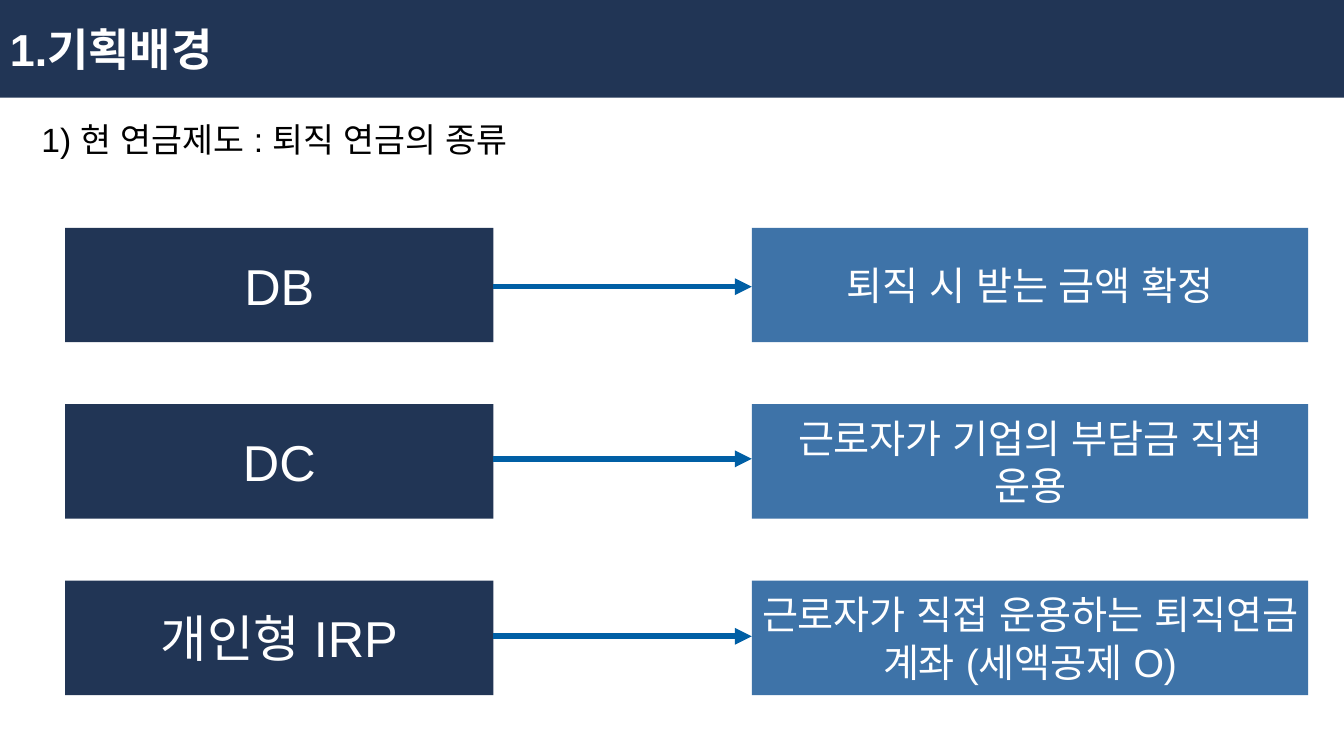
from lxml import etree
from pptx import Presentation
from pptx.dml.color import RGBColor
from pptx.enum.shapes import MSO_CONNECTOR, MSO_SHAPE
from pptx.enum.text import MSO_ANCHOR, PP_ALIGN
from pptx.oxml.ns import qn
from pptx.util import Pt

TITLE = "1.기획배경"
SUBTITLE = "1) 현 연금제도 : 퇴직 연금의 종류"
PENSIONS = [
    ("DB", "퇴직 시 받는 금액 확정", 273),
    ("DC", "근로자가 기업의 부담금 직접 운용", 437),
    ("개인형 IRP", "근로자가 직접 운용하는 퇴직연금 계좌 (세액공제 O)", 606),
]
COLORS = {"navy": "213555", "blue": "3E73A8", "arrow": "005FA5",
          "white": "FFFFFF", "black": "000000"}
FONT = "Arial"
PX = 9525
SLIDE_WIDTH, SLIDE_HEIGHT = 1280, 720
HEADER_HEIGHT = 93
ROW_TOP, ROW_PITCH, BOX_HEIGHT = 217, 168, 109
NAME_LEFT, NAME_WIDTH = 62, 408
DETAIL_LEFT, DETAIL_WIDTH = 716, 530

RECTANGLE = MSO_SHAPE.RECTANGLE
STRAIGHT = MSO_CONNECTOR.STRAIGHT
LEFT, CENTER = PP_ALIGN.LEFT, PP_ALIGN.CENTER
TOP, MIDDLE = MSO_ANCHOR.TOP, MSO_ANCHOR.MIDDLE


def rgb(name):
    return RGBColor.from_string(COLORS[name])


def add_text(slide, text, left, top, width, height, *, size, fill=None,
             color="white", bold=False, align=CENTER, anchor=MIDDLE):
    bounds = [value * PX for value in (left, top, width, height)]
    if fill:
        shape = slide.shapes.add_shape(RECTANGLE, *bounds)
        shape.shadow.inherit = False
        shape.fill.solid()
        shape.fill.fore_color.rgb = rgb(fill)
        shape.line.fill.background()
    else:
        shape = slide.shapes.add_textbox(*bounds)
    frame = shape.text_frame
    frame.word_wrap = True
    frame.vertical_anchor = anchor
    paragraph = frame.paragraphs[0]
    paragraph.alignment = align
    run = paragraph.add_run()
    run.text = text
    run.font.name = FONT
    run.font.size = Pt(size)
    run.font.bold = bold
    run.font.color.rgb = rgb(color)
    properties = run._r.get_or_add_rPr()
    for script in ("a:ea", "a:cs"):
        etree.SubElement(properties, qn(script), typeface=FONT)


def add_arrow(slide, start, end, middle):
    connector = slide.shapes.add_connector(
        STRAIGHT, start * PX, middle * PX, end * PX, middle * PX)
    connector.line.color.rgb = rgb("arrow")
    connector.line.width = Pt(4)
    line = connector.line._get_or_add_ln()
    etree.SubElement(line, qn("a:tailEnd"), type="triangle")
    etree.SubElement(connector._element.spPr, qn("a:effectLst"))


def main():
    presentation = Presentation()
    presentation.slide_width = SLIDE_WIDTH * PX
    presentation.slide_height = SLIDE_HEIGHT * PX
    slide = presentation.slides.add_slide(presentation.slide_layouts[6])

    add_text(slide, TITLE, 0, 0, SLIDE_WIDTH, HEADER_HEIGHT,
             size=32, fill="navy", bold=True, align=LEFT)
    add_text(slide, SUBTITLE, 30, 109, 1095, 48,
             size=24, color="black", align=LEFT, anchor=TOP)

    for row, (name, detail, arrow_middle) in enumerate(PENSIONS):
        top = ROW_TOP + row * ROW_PITCH
        add_text(slide, name, NAME_LEFT, top, NAME_WIDTH, BOX_HEIGHT,
                 size=36, fill="navy")
        add_text(slide, detail, DETAIL_LEFT, top, DETAIL_WIDTH, BOX_HEIGHT,
                 size=28, fill="blue")
        add_arrow(slide, NAME_LEFT + NAME_WIDTH, DETAIL_LEFT, arrow_middle)

    presentation.save("out.pptx")


if __name__ == "__main__":
    main()
